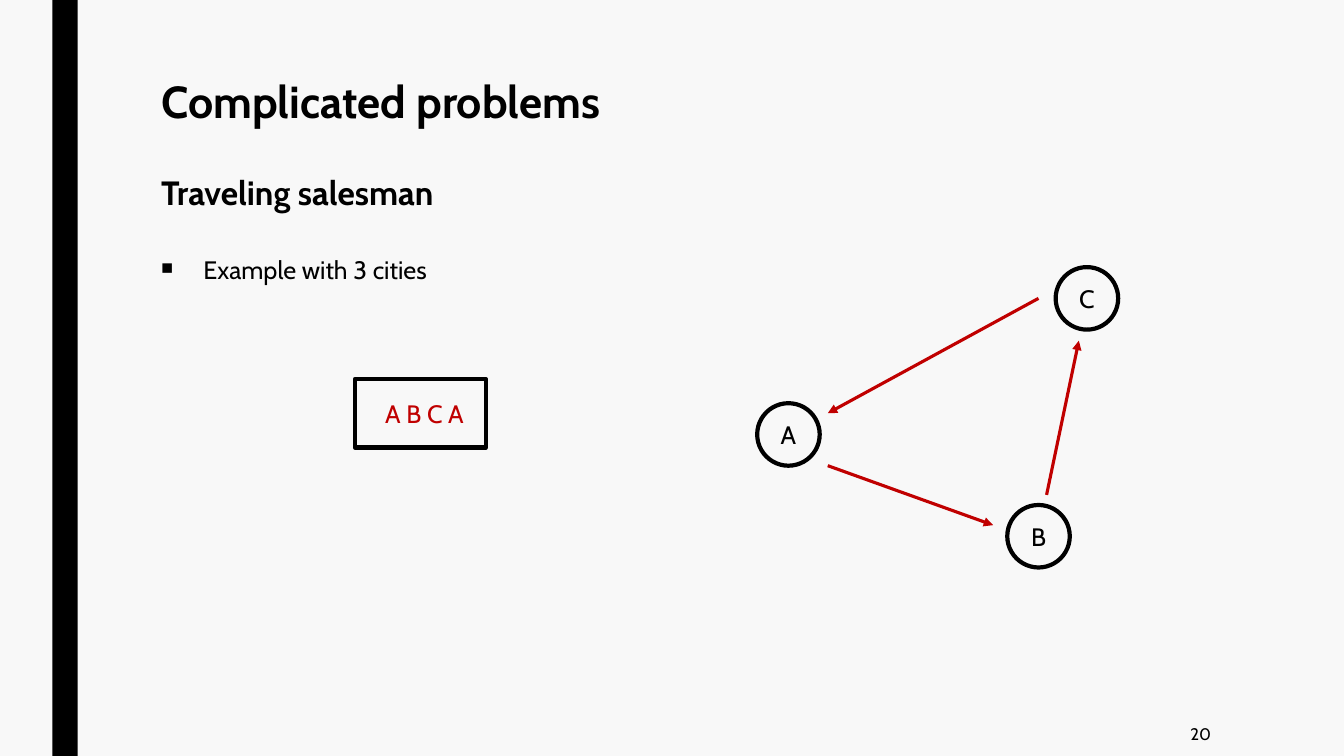
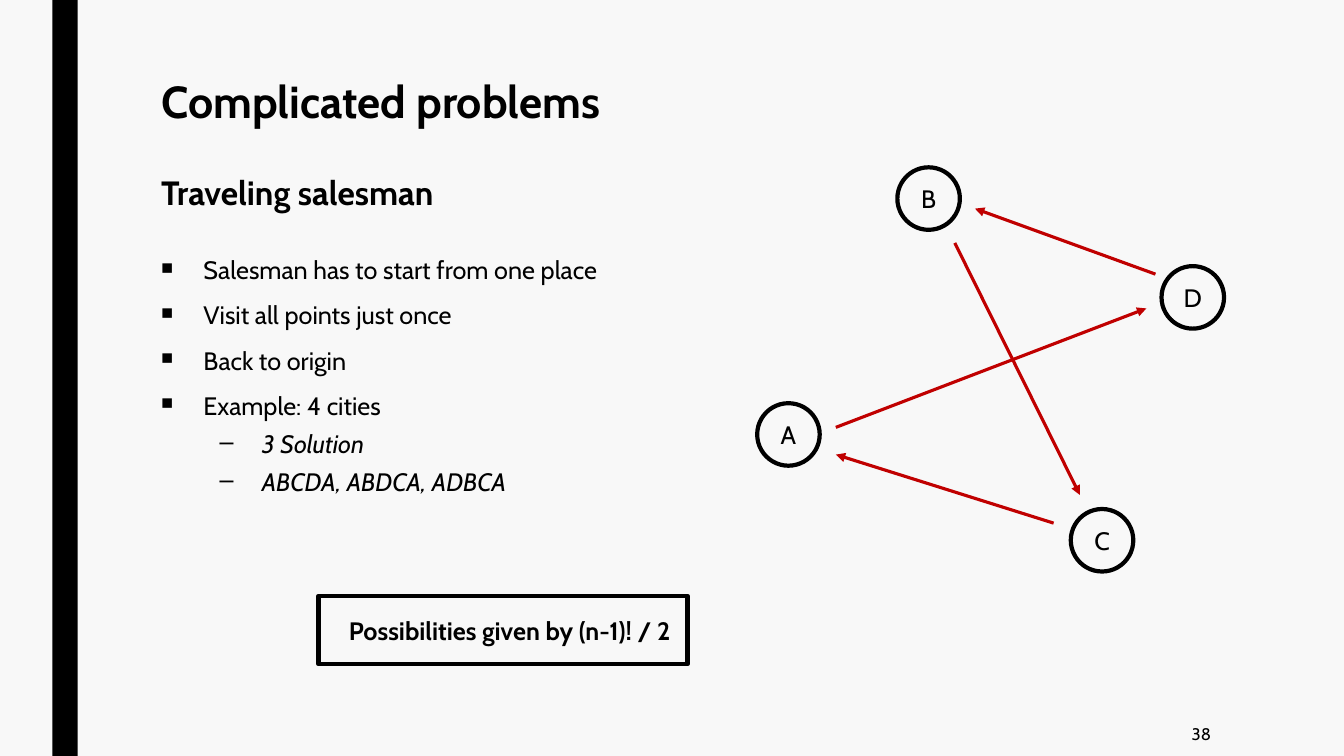
"""Build two slides on the traveling salesman problem."""
from lxml.etree import SubElement
from pptx import Presentation
from pptx.dml.color import RGBColor
from pptx.enum.shapes import MSO_CONNECTOR, MSO_SHAPE
from pptx.enum.text import MSO_ANCHOR, PP_ALIGN
from pptx.oxml.ns import qn
from pptx.util import Inches, Pt

FONT = "Cabin"
BACKGROUND, INK, ROUTE = "F8F8F8", "000000", "C00000"
CITY_SIZE = 0.62
BOX_HEIGHT = 0.68
TITLE, SUBTITLE = "Complicated problems", "Traveling salesman"
LEVELS = [
    {"bullet": "■", "bullet_size": "65000", "indent": 0.42, "before": 10, "italic": False},
    {"bullet": "–", "bullet_size": "100000", "indent": 1, "before": 5, "italic": True},
]

SLIDES = [
    {
        "number": "20",
        "bullets": [(0, "Example with 3 cities")],
        "cities": {"A": (7.51, 4), "B": (9.99, 5.01), "C": (10.47, 2.65)},
        "routes": [
            ((8.21, 4.62), (9.85, 5.21)),
            ((10.3, 2.96), (8.21, 4.1)),
            ((10.38, 4.91), (10.7, 3.38)),
        ],
        "box": {"text": "A B C A", "left": 3.52, "top": 3.76, "width": 1.3,
                "color": ROUTE, "bold": False},
    },
    {
        "number": "38",
        "bullets": [
            (0, "Salesman has to start from one place"),
            (0, "Visit all points just once"),
            (0, "Back to origin"),
            (0, "Example: 4 cities"),
            (1, "3 Solution"),
            (1, "ABCDA, ABDCA, ADBCA"),
        ],
        "cities": {"A": (7.51, 4), "B": (8.9, 1.66), "C": (10.62, 5.05), "D": (11.52, 2.64)},
        "routes": [
            ((8.29, 4.24), (11.37, 3.06)),
            ((10.45, 5.19), (8.29, 4.51)),
            ((9.47, 2.41), (10.71, 4.91)),
            ((11.46, 2.72), (9.67, 2.07)),
        ],
        "box": {"text": "Possibilities given by (n-1)! / 2", "left": 3.16, "top": 5.91,
                "width": 3.66, "color": INK, "bold": True},
    },
]


def rgb(color):
    return RGBColor.from_string(color)


def add_run(paragraph, text, size=18, color=INK, bold=False, italic=False):
    run = paragraph.add_run()
    run.text = text
    run.font.name = FONT
    run.font.size = Pt(size)
    run.font.color.rgb = rgb(color)
    run.font.bold = bold
    run.font.italic = italic


def add_text_box(slide, left, top, width, height):
    shape = slide.shapes.add_textbox(Inches(left), Inches(top), Inches(width), Inches(height))
    shape.text_frame.word_wrap = True
    return shape.text_frame


def next_paragraph(frame, index):
    return frame.add_paragraph() if index else frame.paragraphs[0]


def add_shape(slide, kind, left, top, width, height, fill=None):
    shape = slide.shapes.add_shape(
        kind, Inches(left), Inches(top), Inches(width), Inches(height))
    shape.shadow.inherit = False
    if fill:
        shape.fill.solid()
        shape.fill.fore_color.rgb = rgb(fill)
        shape.line.fill.background()
    else:
        shape.fill.background()
        shape.line.color.rgb = rgb(INK)
        shape.line.width = Pt(3)
    return shape


def add_frame(slide, number):
    slide.background.fill.solid()
    slide.background.fill.fore_color.rgb = rgb(BACKGROUND)
    add_shape(slide, MSO_SHAPE.RECTANGLE, 0.52, 0, 0.25, 7.5, INK)
    frame = add_text_box(slide, 1.5, 0.75, 10.5, 1.62)
    for index, (text, size) in enumerate([(TITLE, 32), (SUBTITLE, 24)]):
        paragraph = next_paragraph(frame, index)
        paragraph.line_spacing = 0.89
        if index:
            paragraph.space_before = Pt(34.5)
        add_run(paragraph, text, size, bold=True)
    footer = add_text_box(slide, 10.36, 7.06, 1.75, 0.44)
    footer.vertical_anchor = MSO_ANCHOR.MIDDLE
    footer.paragraphs[0].alignment = PP_ALIGN.RIGHT
    add_run(footer.paragraphs[0], number, 12)


def add_bullets(slide, bullets):
    frame = add_text_box(slide, 1.5, 2.5, 4.77, 2.63)
    for index, (level, text) in enumerate(bullets):
        style = LEVELS[level]
        paragraph = next_paragraph(frame, index)
        paragraph.level = level
        properties = paragraph._p.get_or_add_pPr()
        properties.set("marL", str(Inches(style["indent"])))
        properties.set("indent", str(Inches(-0.42)))
        SubElement(properties, qn("a:buSzPct"), val=style["bullet_size"])
        SubElement(properties, qn("a:buChar"), char=style["bullet"])
        paragraph.line_spacing = 0.94
        paragraph.space_after = Pt(2)
        if index:
            paragraph.space_before = Pt(style["before"])
        add_run(paragraph, text, italic=style["italic"])


def add_city(slide, name, left, top):
    frame = add_shape(slide, MSO_SHAPE.OVAL, left, top, CITY_SIZE, CITY_SIZE).text_frame
    frame.margin_left = frame.margin_right = frame.margin_top = frame.margin_bottom = 0
    frame.paragraphs[0].alignment = PP_ALIGN.CENTER
    add_run(frame.paragraphs[0], name)


def add_route(slide, start, end):
    points = [Inches(value) for value in (*start, *end)]
    connector = slide.shapes.add_connector(MSO_CONNECTOR.STRAIGHT, *points)
    connector.line.color.rgb = rgb(ROUTE)
    connector.line.width = Pt(2.25)
    SubElement(connector.line._get_or_add_ln(), qn("a:tailEnd"), type="triangle")
    SubElement(connector._element.spPr, qn("a:effectLst"))


def add_box(slide, text, left, top, width, color, bold):
    frame = add_shape(slide, MSO_SHAPE.RECTANGLE, left, top, width, BOX_HEIGHT).text_frame
    frame.word_wrap = True
    frame.margin_left = Inches(0.3)
    frame.margin_right = 0
    frame.paragraphs[0].alignment = PP_ALIGN.LEFT
    add_run(frame.paragraphs[0], text, color=color, bold=bold)


def main():
    presentation = Presentation()
    presentation.slide_width = Inches(13.33)
    presentation.slide_height = Inches(7.5)
    for content in SLIDES:
        slide = presentation.slides.add_slide(presentation.slide_layouts[6])
        add_frame(slide, content["number"])
        add_bullets(slide, content["bullets"])
        for name, (left, top) in content["cities"].items():
            add_city(slide, name, left, top)
        for start, end in content["routes"]:
            add_route(slide, start, end)
        add_box(slide, **content["box"])
    presentation.save("out.pptx")


if __name__ == "__main__":
    main()
